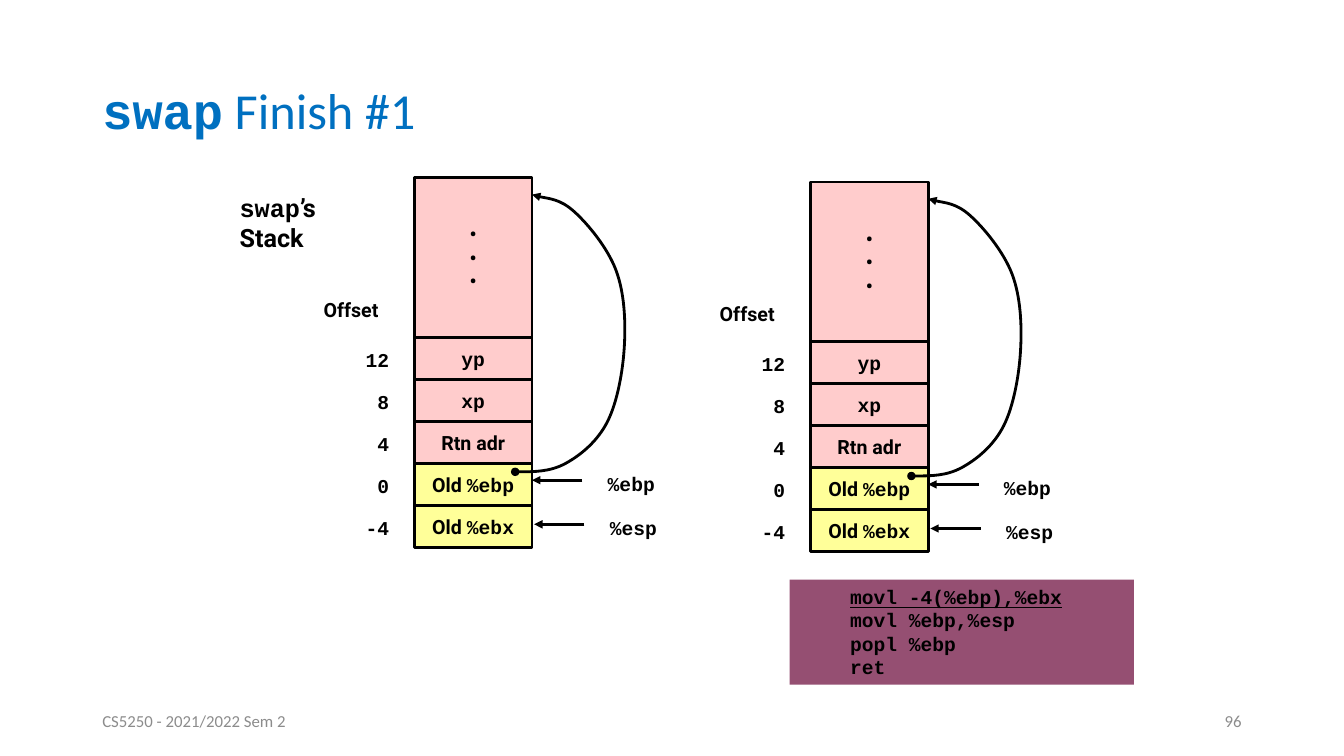
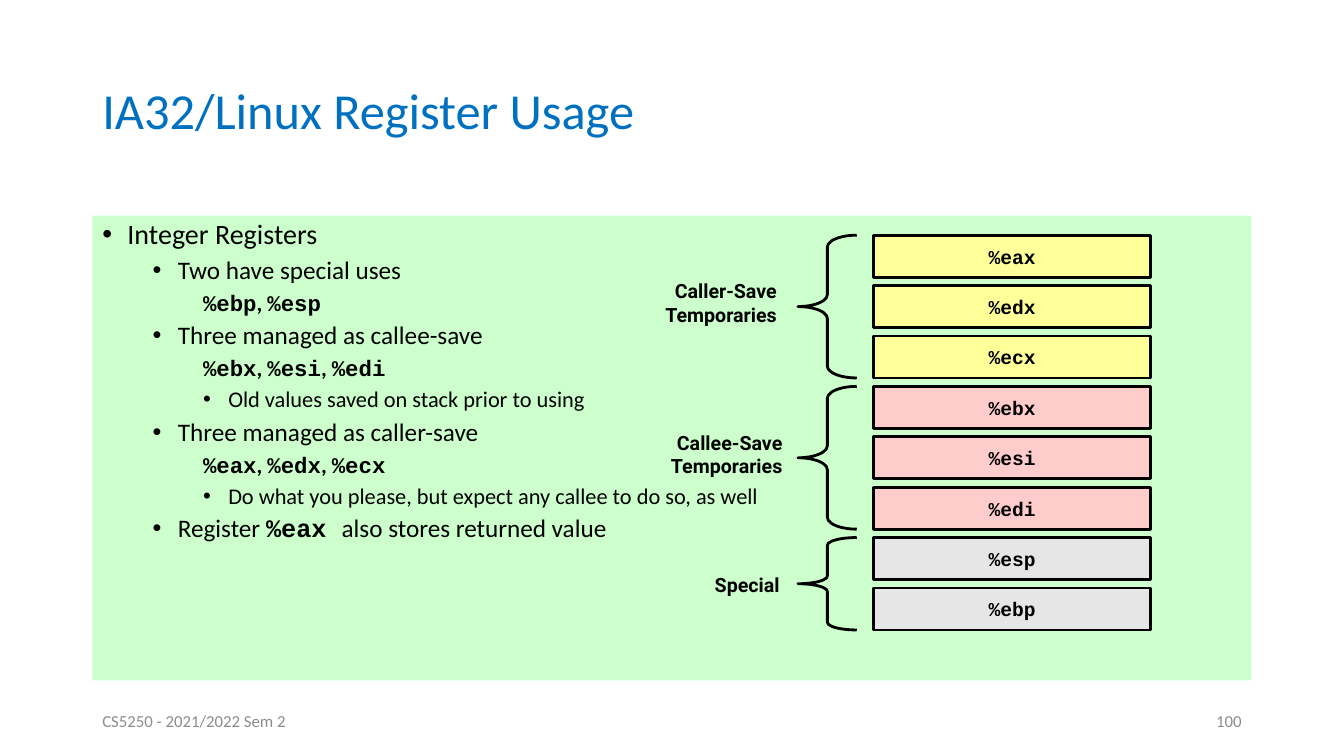
from lxml.etree import SubElement
from pptx import Presentation
from pptx.dml.color import RGBColor
from pptx.enum.shapes import MSO_CONNECTOR, MSO_SHAPE
from pptx.enum.text import MSO_ANCHOR as ANCHOR, PP_ALIGN as ALIGN
from pptx.oxml.ns import qn
from pptx.util import Pt

BLACK = RGBColor(0x00, 0x00, 0x00)
BLUE = RGBColor(0x00, 0x70, 0xC0)
GREY = RGBColor(0x8C, 0x8C, 0x8C)
SILVER = RGBColor(0xE7, 0xE6, 0xE6)
PINK = RGBColor(0xFF, 0xCC, 0xCC)
YELLOW = RGBColor(0xFF, 0xFF, 0x99)
GREEN = RGBColor(0xCC, 0xFF, 0xCC)
PLUM = RGBColor(0x95, 0x4F, 0x72)
BODY, CODE, LABEL = "Calibri", "Courier New", "Roboto"


def write_runs(paragraph, runs, size, color=BLACK, bold=False):
    for text, font_name in runs:
        run = paragraph.add_run()
        run.text = text
        run.font.name = font_name
        run.font.size = Pt(size)
        run.font.bold = bold or font_name != BODY
        run.font.color.rgb = color


def add_box(slide, bounds, lines, size=14, color=BLACK, fill=None,
            outlined=False, align=ALIGN.LEFT, anchor=ANCHOR.TOP):
    bounds = [Pt(length) for length in bounds]
    if fill is None:
        shape = slide.shapes.add_textbox(*bounds)
    else:
        shape = slide.shapes.add_shape(MSO_SHAPE.RECTANGLE, *bounds)
        shape.shadow.inherit = False
        shape.fill.solid()
        shape.fill.fore_color.rgb = fill
        if outlined:
            shape.line.color.rgb = BLACK
            shape.line.width = Pt(2)
        else:
            shape.line.fill.background()
    text_frame = shape.text_frame
    text_frame.word_wrap = True
    text_frame.vertical_anchor = anchor
    for index, runs in enumerate(lines):
        paragraph = text_frame.add_paragraph() if index else text_frame.paragraphs[0]
        paragraph.alignment = align
        write_runs(paragraph, runs, size, color)
    return shape


presentation = Presentation()
presentation.slide_width = Pt(960)
presentation.slide_height = Pt(540)

slides = []
for title, number in [
    ([("swap", CODE), (" Finish #1", BODY)], "96"),
    ([("IA32/Linux Register Usage", BODY)], "100"),
]:
    slide = presentation.slides.add_slide(presentation.slide_layouts[6])
    title_box = add_box(slide, (66, 29, 828, 104), [title], 36, BLUE, anchor=ANCHOR.MIDDLE)
    title_box.text_frame.paragraphs[0].line_spacing = 0.9
    add_box(slide, (66, 500, 216, 29), [[("CS5250 - 2021/2022 Sem 2", BODY)]],
            12, GREY, anchor=ANCHOR.MIDDLE)
    add_box(slide, (678, 500, 216, 29), [[(number, BODY)]], 12, GREY,
            align=ALIGN.RIGHT, anchor=ANCHOR.MIDDLE)
    slides.append(slide)
swap_slide, register_slide = slides

instructions = ["movl -4(%ebp),%ebx", "movl %ebp,%esp", "popl %ebp", "ret"]
code_box = add_box(swap_slide, (564, 414, 246, 75),
                   [[(line, CODE)] for line in instructions], fill=PLUM)
code_box.text_frame.margin_left = Pt(43.2)
code_box.text_frame.paragraphs[0].runs[0].font.underline = True
add_box(swap_slide, (164, 134, 90, 50),
        [[("swap", CODE), ("’s", LABEL)], [("Stack", LABEL)]], 18)

CELL_HEIGHT = 30
STACK_WIDTH = 84
STACK_TOP_HEIGHT = 114
stack_cells = [
    ("12", [("yp", CODE)], PINK),
    ("8", [("xp", CODE)], PINK),
    ("4", [("Rtn adr", LABEL)], PINK),
    ("0", [("Old ", LABEL), ("%ebp", CODE)], YELLOW),
    ("-4", [("Old ", LABEL), ("%ebx", CODE)], YELLOW),
]
frame_link = [
    (72, 210), (84, 210), (97, 210), (108, 204), (119, 198), (131, 188), (138, 174),
    (145, 160), (149, 138), (150, 120), (151, 102), (150, 82), (144, 66),
    (138, 50), (124, 33), (114, 24), (104, 15), (89, 14), (84, 12),
]
for left, top in [(296, 127), (579, 130)]:
    add_box(swap_slide, (left, top, STACK_WIDTH, STACK_TOP_HEIGHT), [[("•", LABEL)]] * 3,
            fill=PINK, outlined=True, align=ALIGN.CENTER, anchor=ANCHOR.MIDDLE)
    add_box(swap_slide, (left - 72, top + 82, 70, 24), [[("Offset", LABEL)]])
    for index, (offset, runs, fill) in enumerate(stack_cells):
        cell_top = top + STACK_TOP_HEIGHT + index * CELL_HEIGHT
        add_box(swap_slide, (left, cell_top, STACK_WIDTH, CELL_HEIGHT), [runs], fill=fill,
                outlined=True, align=ALIGN.CENTER, anchor=ANCHOR.MIDDLE)
        add_box(swap_slide, (left - 42, cell_top + 4, 31, 24), [[(offset, CODE)]],
                align=ALIGN.RIGHT)

    arrows = []
    for index, register in enumerate(["%ebp", "%esp"]):
        arrow_left = left + STACK_WIDTH + 1.5 * index
        arrow_top = top + 216 + 31.5 * index
        arrows.append(swap_slide.shapes.add_connector(
            MSO_CONNECTOR.STRAIGHT, Pt(arrow_left + 36), Pt(arrow_top),
            Pt(arrow_left), Pt(arrow_top)))
        add_box(swap_slide, (arrow_left + 47, arrow_top - 9.5, 60, 24), [[(register, CODE)]])

    points = [(left + x, top + y) for x, y in frame_link]
    builder = swap_slide.shapes.build_freeform(*points[0], scale=Pt(1))
    builder.add_line_segments(points[1:], close=False)
    curve = builder.convert_to_shape()
    curve.fill.background()
    outline = curve.element.find(".//" + qn("a:path"))
    segments = outline.findall(qn("a:lnTo"))
    for start in range(0, len(segments), 3):
        bezier = SubElement(outline, qn("a:cubicBezTo"))
        for segment in segments[start:start + 3]:
            bezier.append(segment[0])
            outline.remove(segment)

    for shape in [*arrows, curve]:
        shape.line.color.rgb = BLACK
        shape.line.width = Pt(2)
        properties = shape.element.spPr
        line = properties.find(qn("a:ln"))
        if shape is curve:
            SubElement(line, qn("a:headEnd"), type="oval")
        SubElement(line, qn("a:tailEnd"), type="triangle")
        SubElement(properties, qn("a:effectLst"))

usage_lines = [
    (0, True, [("Integer Registers", BODY)]),
    (1, True, [("Two have special uses", BODY)]),
    (2, False, [("%ebp", CODE), (", ", BODY), ("%esp", CODE)]),
    (1, True, [("Three managed as callee-save", BODY)]),
    (2, False, [("%ebx", CODE), (", ", BODY), ("%esi", CODE), (", ", BODY), ("%edi", CODE)]),
    (2, True, [("Old values saved on stack prior to using", BODY)]),
    (1, True, [("Three managed as caller-save", BODY)]),
    (2, False, [("%eax", CODE), (", ", BODY), ("%edx", CODE), (", ", BODY), ("%ecx", CODE)]),
    (2, True, [("Do what you please, but expect any callee to do so, as well", BODY)]),
    (1, True, [("Register ", BODY), ("%eax ", CODE), ("also stores returned value", BODY)]),
]
usage_frame = add_box(register_slide, (66, 154, 828, 332), [], fill=GREEN).text_frame
for index, (level, bulleted, runs) in enumerate(usage_lines):
    paragraph = usage_frame.add_paragraph() if index else usage_frame.paragraphs[0]
    properties = paragraph._p.get_or_add_pPr()
    properties.set("marL", str(Pt(18 + 36 * level)))
    properties.set("indent", str(Pt(-18)))
    if bulleted:
        SubElement(properties, qn("a:buFont"), typeface="Arial")
        SubElement(properties, qn("a:buChar"), char="•")
    else:
        SubElement(properties, qn("a:buNone"))
    paragraph.level = level
    paragraph.alignment = ALIGN.LEFT
    paragraph.line_spacing = 0.9
    if index:
        paragraph.space_before = Pt(5)
    write_runs(paragraph, runs, 20 - 2 * level, bold=not bulleted)

REGISTER_TOP = 168
REGISTER_STEP = 36
register_groups = [
    (["Caller-Save", "Temporaries"], ["%eax", "%edx", "%ecx"], YELLOW, 562, 196),
    (["Callee-Save", "Temporaries"], ["%ebx", "%esi", "%edi"], PINK, 566, 304),
    (["Special"], ["%esp", "%ebp"], SILVER, 564, 406),
]
group_top = REGISTER_TOP
for captions, registers, fill, caption_right, caption_top in register_groups:
    for index, register in enumerate(registers):
        add_box(register_slide, (624, group_top + index * REGISTER_STEP, 198, CELL_HEIGHT),
                [[(register, CODE)]], fill=fill, outlined=True,
                align=ALIGN.CENTER, anchor=ANCHOR.MIDDLE)
    group_height = len(registers) * REGISTER_STEP
    brace_height = group_height - REGISTER_STEP + CELL_HEIGHT
    brace = register_slide.shapes.add_shape(
        MSO_SHAPE.LEFT_BRACE, Pt(570), Pt(group_top), Pt(42), Pt(brace_height))
    brace.shadow.inherit = False
    brace.adjustments[0] = brace_height / 505
    brace.fill.background()
    brace.line.color.rgb = BLACK
    brace.line.width = Pt(2)
    add_box(register_slide, (caption_right - 110, caption_top, 110, 7 + 17 * len(captions)),
            [[(caption, LABEL)] for caption in captions], align=ALIGN.RIGHT)
    group_top += group_height

presentation.save("out.pptx")
